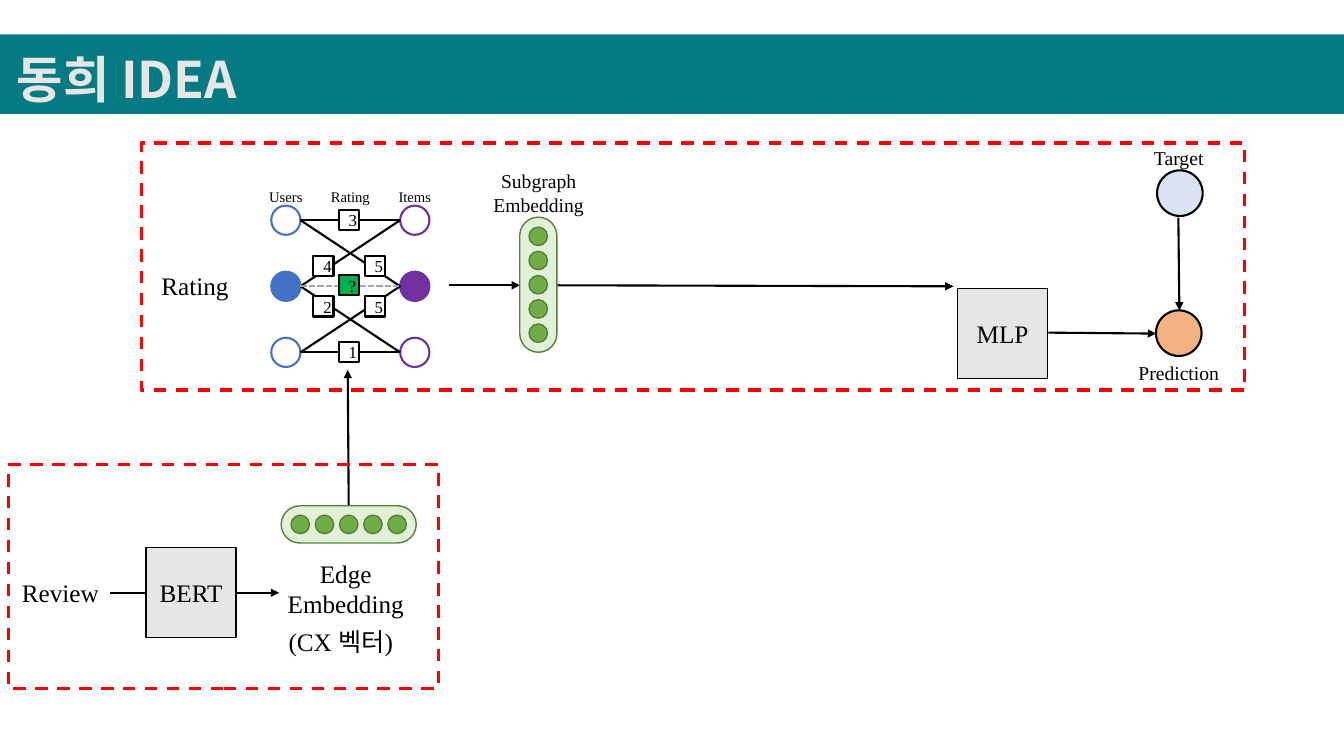
"""Builds the rating and review embedding diagram slide."""
import pptx
import pptx.util
import pptx.dml.color
import pptx.enum.dml
import pptx.enum.shapes
import pptx.enum.text
import pptx.oxml
import pptx.oxml.ns

Pt = pptx.util.Pt
SHAPE = pptx.enum.shapes.MSO_SHAPE
DASH = pptx.enum.dml.MSO_LINE
ALIGN = pptx.enum.text.PP_ALIGN
ANCHOR = pptx.enum.text.MSO_ANCHOR
SERIF, SANS = "Times New Roman", "Noto Sans CJK KR"

COLORS = {
    "band": "067A82", "title": "E7E6E6", "ink": "000000", "paper": "FFFFFF",
    "user": "4472C4", "item": "7030A0", "unknown": "00B050", "faint": "A6A6A6",
    "pill": "E2F0D9", "dot": "70AD47", "leaf": "548235", "model": "E7E6E6",
    "prediction": "F4B183", "target": "DAE3F3", "frame": "FF0000",
}

TITLE = "동희 IDEA"
USER_X, ITEM_X, NODE = 204.2, 296.3, 20.9
ROWS = [157.3, 204.5, 251.7]
EDGES = [(0, 0), (1, 0), (2, 1), (1, 2), (2, 2), (0, 1)]
RATINGS = [
    ("3", 249.1, 157, "paper"), ("4", 231.1, 190.1, "paper"),
    ("5", 267.8, 190.1, "paper"), ("2", 231.1, 218.9, "paper"),
    ("5", 267.8, 218.9, "paper"), ("1", 249.1, 251.3, "paper"),
    ("?", 249.1, 203.8, "unknown"),
]
LABELS = [
    ("Users", USER_X, 131, 72.7, 16.6, 10.5, 1),
    ("Rating", 250.2, 131, 72.7, 16.6, 10.5, 1),
    ("Items", ITEM_X, 131, 72.7, 16.6, 10.5, 1),
    ("Rating", 139.3, 189.4, 72.7, 29.1, 18, 1),
    ("Subgraph\nEmbedding", 384.8, 117.4, 124.6, 41.2, 14, 1),
    ("Target", 842, 92.2, 75.6, 29.4, 14, 1.5),
    ("Prediction", 842, 245.5, 75.6, 29.4, 14, 1.5),
    ("Review", 43.2, 409, 115.2, 29.1, 18, 1),
    ("Edge\nEmbedding", 247, 395.3, 115.2, 51, 18, 1),
    ("(CX 벡터)", 243.4, 443.5, 115.2, 29.1, 18, 1),
]
ARROWS = [
    (320.4, 203.8, 371.5, 203.8), (78.5, 423.4, 199.4, 423.4),
    (249.1, 361.4, 248.4, 264.2), (398.2, 203.8, 681.1, 204.5),
    (841.7, 155.5, 842.4, 221.8), (748.8, 237.6, 825.8, 238.3),
]
PILLS = [(384.5, 203.4, 90), (249.1, 374.6, 0)]
DOTS, DOT_STEP = 5, 17.3
OUTCOMES = [("prediction", 842, 238), ("target", 842.8, 138)]
MODELS = [("MLP", 716.2, 238.1), ("BERT", 136.5, 423.2)]
FRAMES = [(5.8, 331.9, 307.4, 159.8), (100.8, 102.2, 788.4, 176.4)]


def rgb(name):
    """Return the named colour."""
    return pptx.dml.color.RGBColor.from_string(COLORS[name])


def apply(target, values):
    """Set every attribute named in values."""
    for name, value in values.items():
        setattr(target, name, value)


def style_line(line, color, width, dash=None):
    """Give a line its colour, width and dash."""
    line.color.rgb = rgb(color)
    apply(line, {"width": Pt(width), "dash_style": dash})


def write(box, text, size, color="ink", font=SERIF, bold=False,
          align=ALIGN.CENTER, spacing=1, anchor=ANCHOR.MIDDLE):
    """Put one paragraph per line of text in a box."""
    frame = box.text_frame
    apply(frame, {"word_wrap": True, "vertical_anchor": anchor})
    for index, words in enumerate(text.split("\n")):
        para = frame.add_paragraph() if index else frame.paragraphs[0]
        apply(para, {"alignment": align, "line_spacing": spacing})
        span = para.add_run()
        span.text = words
        apply(span.font, {"size": Pt(size), "name": font, "bold": bold})
        span.font.color.rgb = rgb(color)
        east = pptx.oxml.parse_xml(
            f'<a:ea {pptx.oxml.ns.nsdecls("a")} typeface="{SANS}"/>')
        span.font._element.append(east)


def add_box(page, kind, left, top, width, height, fill=None, line=None,
            weight=1.5, dash=None):
    """Add a preset shape by its top left corner."""
    box = page.shapes.add_shape(kind, Pt(left), Pt(top), Pt(width), Pt(height))
    box.shadow.inherit = False
    if fill:
        box.fill.solid()
        box.fill.fore_color.rgb = rgb(fill)
    else:
        box.fill.background()
    if line:
        style_line(box.line, line, weight, dash)
    else:
        box.line.fill.background()
    return box


def add_centred(page, kind, x, y, width, height, *look):
    """Add a preset shape by its centre."""
    return add_box(page, kind, x - width / 2, y - height / 2, width, height, *look)


def add_text(page, left, top, width, height, *words, **look):
    """Add a text box that grows with its text."""
    box = page.shapes.add_textbox(Pt(left), Pt(top), Pt(width), Pt(height))
    write(box, *words, **look)
    box.text_frame.auto_size = pptx.enum.text.MSO_AUTO_SIZE.SHAPE_TO_FIT_TEXT


def add_line(page, ends, color="ink", dash=None, arrow=False):
    """Add a straight line, with an arrowhead if asked."""
    line = page.shapes.add_connector(
        pptx.enum.shapes.MSO_CONNECTOR.STRAIGHT, *map(Pt, ends))
    style_line(line.line, color, 1.5, dash)
    names = pptx.oxml.ns.nsdecls("a")
    if arrow:
        line.line._get_or_add_ln().append(
            pptx.oxml.parse_xml(f'<a:tailEnd {names} type="triangle"/>'))
    line._element.spPr.append(pptx.oxml.parse_xml(f"<a:effectLst {names}/>"))


def add_graph(page):
    """Draw the users, the items and the ratings between them."""
    for x, color in ((USER_X, "user"), (ITEM_X, "item")):
        for row, y in enumerate(ROWS):
            fill = color if row == 1 else None
            add_centred(page, SHAPE.OVAL, x, y, NODE, NODE, fill, color)
    start, end = USER_X + NODE / 2, ITEM_X - NODE / 2
    for user, item in EDGES:
        add_line(page, (start, ROWS[user], end, ROWS[item]))
    add_line(page, (start, ROWS[1], end, ROWS[1]), "faint", DASH.SQUARE_DOT)
    for text, x, y, fill in RATINGS:
        box = add_centred(page, SHAPE.RECTANGLE, x, y, 14.4, 14.4, fill, "ink")
        write(box, text, 12)


def add_pill(page, x, y, rotation):
    """Draw an embedding as a pill with a row of dots."""
    pill = add_centred(page, SHAPE.ROUNDED_RECTANGLE, x, y, 96.5, 26.6,
                       "pill", "leaf", 1)
    pill.adjustments[0] = 0.5
    pill.rotation = rotation
    for index in range(DOTS):
        shift = (index - (DOTS - 1) / 2) * DOT_STEP
        across, down = (0, shift) if rotation else (shift, 0)
        add_centred(page, SHAPE.OVAL, x + across, y + down, 13.2, 13.2,
                    "dot", "leaf", 1)


def main():
    """Build the slide and save it."""
    deck = pptx.Presentation()
    apply(deck, {"slide_width": Pt(960), "slide_height": Pt(540)})
    page = deck.slides.add_slide(deck.slide_layouts[6])
    add_box(page, SHAPE.RECTANGLE, 0, 24.5, 960, 56.9, "band")
    add_text(page, 5, 12.2, 955, 66.2, TITLE, 36, "title", SANS, True,
             ALIGN.LEFT, 1.5)
    add_graph(page)
    for ends in ARROWS:
        add_line(page, ends, arrow=True)
    for pill in PILLS:
        add_pill(page, *pill)
    for fill, x, y in OUTCOMES:
        add_centred(page, SHAPE.OVAL, x, y, 32.6, 32.6, fill, "ink")
    for text, x, y in MODELS:
        box = add_centred(page, SHAPE.RECTANGLE, x, y, 64.4, 64.4,
                          "model", "ink", 1)
        write(box, text, 18)
    for text, x, top, width, height, size, spacing in LABELS:
        add_text(page, x - width / 2, top, width, height, text, size,
                 spacing=spacing, anchor=ANCHOR.TOP)
    for frame in FRAMES:
        add_box(page, SHAPE.RECTANGLE, *frame, None, "frame", 2.25, DASH.DASH)
    deck.save("out.pptx")


if __name__ == "__main__":
    main()
